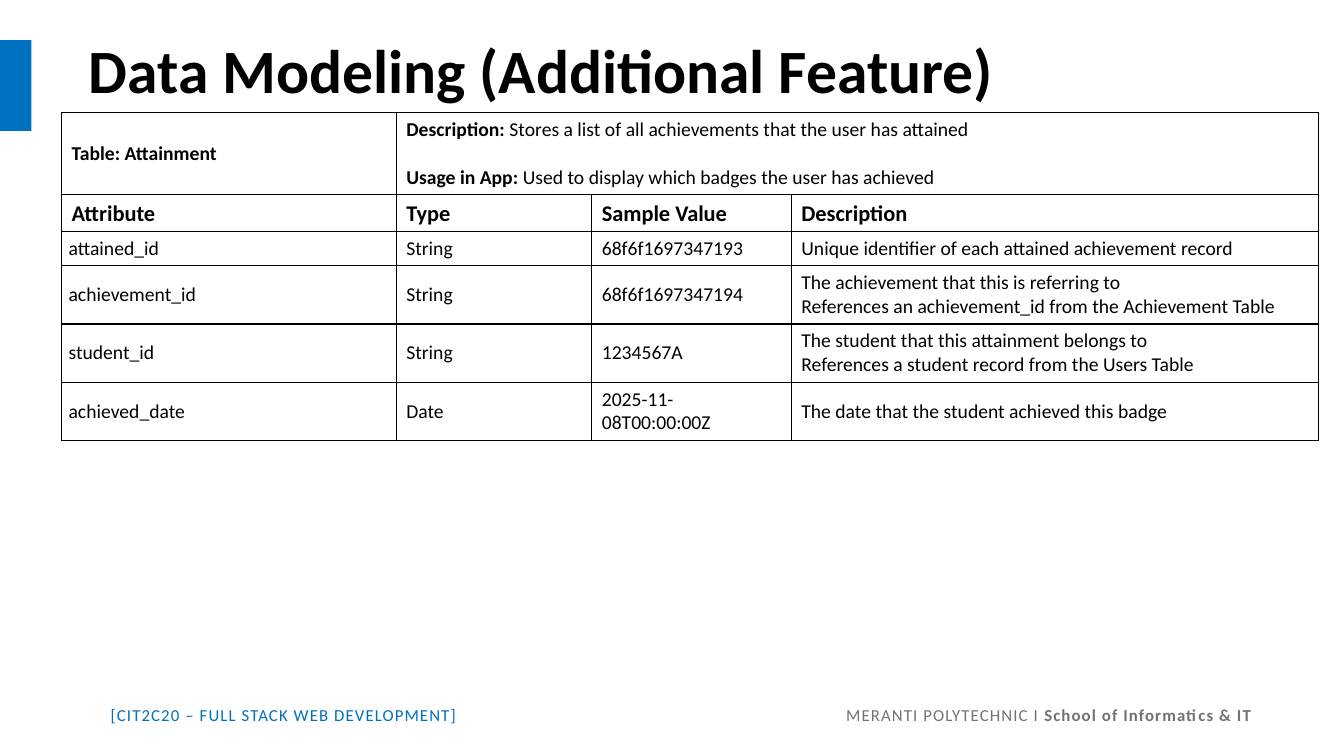
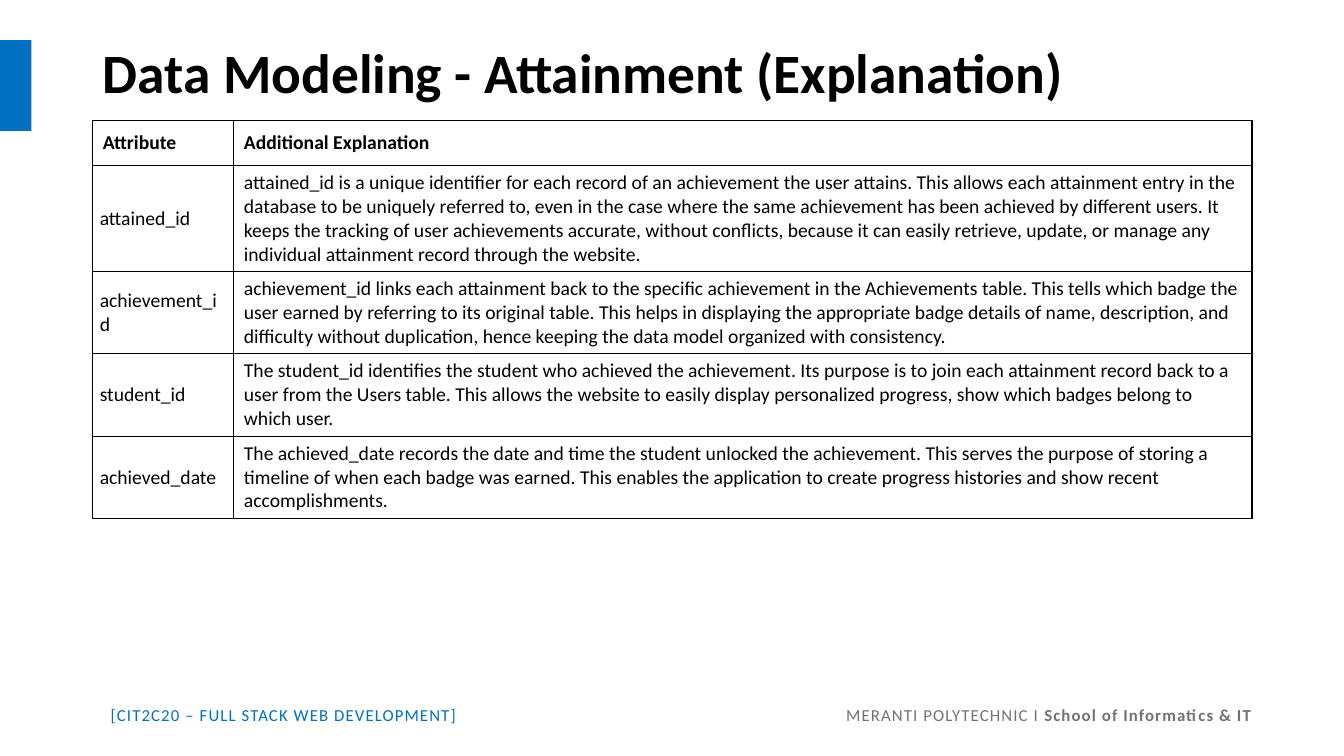
from lxml.etree import SubElement
from pptx import Presentation
from pptx.dml.color import RGBColor
from pptx.enum.shapes import MSO_SHAPE
from pptx.enum.text import MSO_ANCHOR, MSO_AUTO_SIZE, PP_ALIGN
from pptx.oxml.ns import qn
from pptx.util import Inches, Pt

BLUE = RGBColor(0x00, 0x70, 0xC0)
GREY = RGBColor(0x76, 0x71, 0x71)
BLACK = RGBColor(0, 0, 0)
WHITE = RGBColor(0xFF, 0xFF, 0xFF)
FONT = "Calibri"
WIDE, HIGH = Inches(13.33), Inches(7.5)


def write(frame, text, size=14, color=BLACK, bold=False, align=PP_ALIGN.LEFT,
          lead=None, gap=0, track=0):
    """Fill a frame: one paragraph a line, ** switches bold on and off."""
    frame.word_wrap = True
    for n, line in enumerate(text.split("\n")):
        para = frame.paragraphs[0] if n == 0 else frame.add_paragraph()
        para.alignment = align
        if lead:
            para.line_spacing = lead
        para.space_before = Pt(gap if n else 0)
        for k, part in enumerate(line.split("**")):
            if not part:
                continue
            run = para.add_run()
            run.text = part
            font = run.font
            font.name, font.size = FONT, Pt(size)
            font.bold = bold or k % 2 == 1
            font.color.rgb = color
            if track:
                run._r.get_or_add_rPr().set("spc", str(int(track * 100)))


def edge(cell, width=1):
    """Draw a line on the four sides of a cell."""
    props = cell._tc.get_or_add_tcPr()
    for side in ("a:lnL", "a:lnR", "a:lnT", "a:lnB"):
        line = SubElement(props, qn(side), w=str(Pt(width)))
        fill = SubElement(line, qn("a:solidFill"))
        SubElement(fill, qn("a:srgbClr"), val=str(BLACK))


class Deck:
    """Style and current slide; lengths are percent of the slide's size."""

    def __init__(self):
        self.show = Presentation()
        self.show.slide_width, self.show.slide_height = WIDE, HIGH
        self.slide = None

    def box(self, left, top, width, height):
        return (int(WIDE * left / 100), int(HIGH * top / 100),
                int(WIDE * width / 100), int(HIGH * height / 100))

    def page(self, title, place, size):
        self.slide = self.show.slides.add_slide(self.show.slide_layouts[5])
        self.foot()
        self.band()
        head = self.slide.shapes.title
        head.left, head.top, head.width, head.height = self.box(*place)
        frame = head.text_frame
        frame.auto_size = MSO_AUTO_SIZE.NONE
        frame.vertical_anchor = MSO_ANCHOR.MIDDLE
        write(frame, title, size=size, bold=True, lead=0.9)

    def band(self):
        bar = self.slide.shapes.add_shape(
            MSO_SHAPE.RECTANGLE, *self.box(0, 5.33, 2.33, 12))
        bar.shadow.inherit = False
        bar.fill.solid()
        bar.fill.fore_color.rgb = BLUE
        bar.line.fill.background()

    def foot(self):
        self.note("[CIT2C20 – FULL STACK WEB DEVELOPMENT]", 7.5, color=BLUE)
        self.note("MERANTI POLYTECHNIC I **School of Informatics & IT**",
                  53.85, color=GREY, align=PP_ALIGN.RIGHT)

    def note(self, text, left, **form):
        spot = self.slide.shapes.add_textbox(*self.box(left, 92.53, 40, 4))
        write(spot.text_frame, text, size=12, track=0.8, **form)

    def table(self, left, top, cols, rows, data, heads, keys):
        """heads: bold rows and their sizes; keys: first row of names."""
        place = self.box(left, top, sum(cols), sum(rows))
        grid = self.slide.shapes.add_table(
            len(rows), len(cols), *place).table
        for n, share in enumerate(cols):
            grid.columns[n].width = int(WIDE * share / 100)
        for n, share in enumerate(rows):
            grid.rows[n].height = int(HIGH * share / 100)
        for r, line in enumerate(data):
            for c in range(len(cols)):
                cell = grid.cell(r, c)
                edge(cell)
                cell.fill.solid()
                cell.fill.fore_color.rgb = WHITE
                cell.vertical_anchor = MSO_ANCHOR.MIDDLE
                if c == 0 and r >= keys:
                    cell.margin_left = cell.margin_right = Inches(0.07)
                    cell.margin_top = cell.margin_bottom = 0
                if c < len(line):
                    write(cell.text_frame, line[c], size=heads.get(r, 14),
                          bold=r in heads)
        return grid


# Wording of the two tables
FIELDS = [
    ["**Table: Attainment**"],
    ["Attribute", "Type", "Sample Value", "Description"],
    ["attained_id", "String", "68f6f1697347193",
     "Unique identifier of each attained achievement record"],
    ["achievement_id", "String", "68f6f1697347194",
     "The achievement that this is referring to\n"
     "References an achievement_id from the Achievement Table"],
    ["student_id", "String", "1234567A",
     "The student that this attainment belongs to\n"
     "References a student record from the Users Table"],
    ["achieved_date", "Date", "2025-11-08T00:00:00Z",
     "The date that the student achieved this badge"],
]
USAGE = ("**Description:** Stores a list of all achievements that the user "
         "has attained\n"
         "**Usage in App:** Used to display which badges the user has achieved")
REASONS = [
    ["Attribute", "Additional Explanation"],
    ["attained_id",
     "attained_id is a unique identifier for each record of an achievement "
     "the user attains. This allows each attainment entry in the database to "
     "be uniquely referred to, even in the case where the same achievement "
     "has been achieved by different users. It keeps the tracking of user "
     "achievements accurate, without conflicts, because it can easily "
     "retrieve, update, or manage any individual attainment record through "
     "the website."],
    ["achievement_id",
     "achievement_id links each attainment back to the specific achievement "
     "in the Achievements table. This tells which badge the user earned by "
     "referring to its original table. This helps in displaying the "
     "appropriate badge details of name, description, and difficulty without "
     "duplication, hence keeping the data model organized with consistency."],
    ["student_id",
     "The student_id identifies the student who achieved the achievement. "
     "Its purpose is to join each attainment record back to a user from the "
     "Users table. This allows the website to easily display personalized "
     "progress, show which badges belong to which user."],
    ["achieved_date",
     "The achieved_date records the date and time the student unlocked the "
     "achievement. This serves the purpose of storing a timeline of when each "
     "badge was earned. This enables the application to create progress "
     "histories and show recent accomplishments."],
]


def main():
    deck = Deck()

    # Fields of the table
    deck.page("Data Modeling (Additional Feature)", (5.85, 0, 86.25, 19.33), 44)
    grid = deck.table(4.58, 14.93, [24.9, 14.55, 14.85, 39.24],
                      [10.85, 4.9, 4.5] + [7.7] * 3, FIELDS,
                      heads={1: 16}, keys=2)
    wide = grid.cell(0, 1)
    wide.merge(grid.cell(0, 3))
    write(wide.text_frame, USAGE, gap=17)

    # Reason for each field
    deck.page("Data Modeling - Attainment (Explanation)",
              (6.9, 5.33, 86.25, 9.33), 39.6)
    deck.table(6.9, 15.9, [10.5, 75.75], [6, 14] + [10.9] * 3, REASONS,
               heads={0: 14}, keys=1)

    deck.show.save("out.pptx")


if __name__ == "__main__":
    main()
